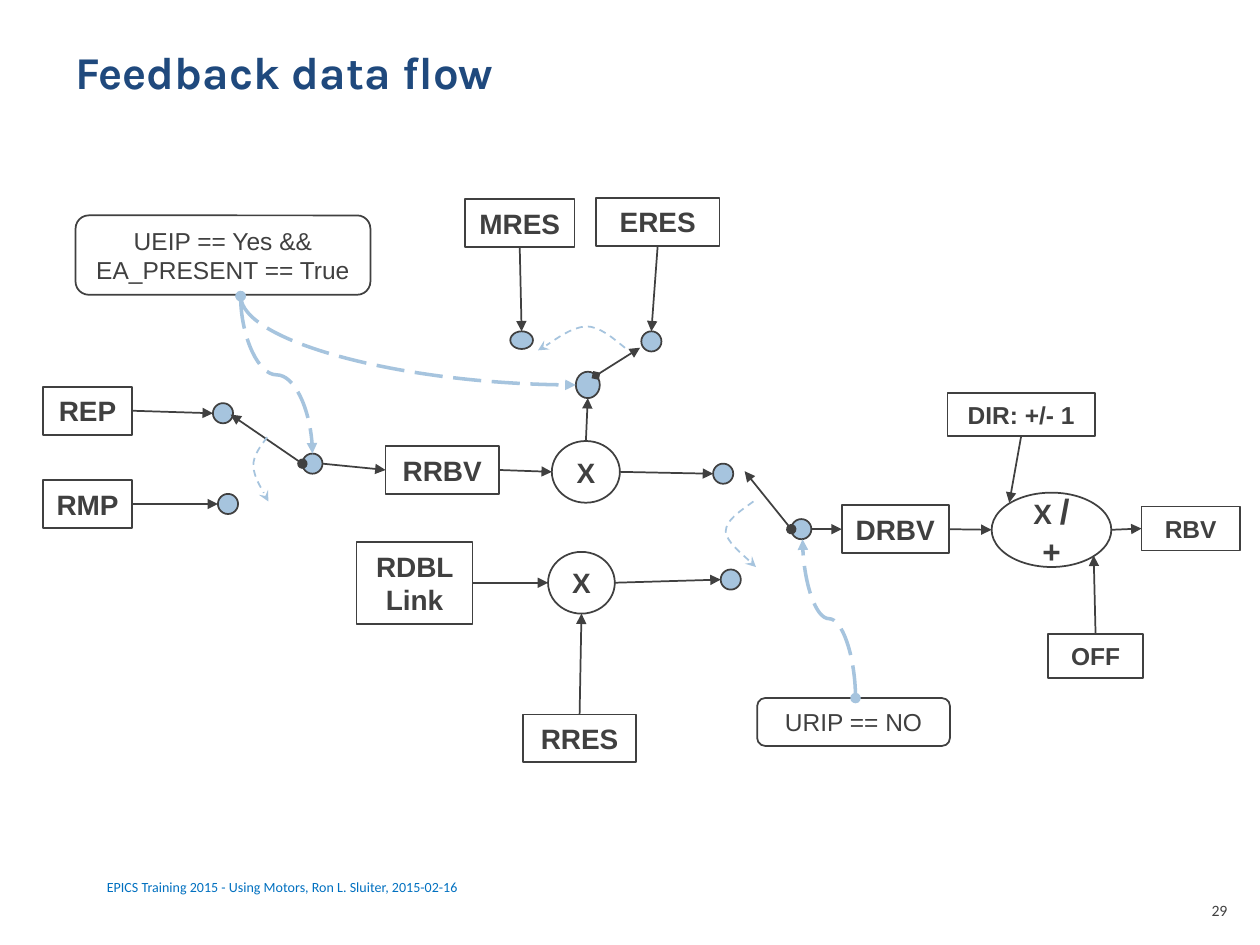
from lxml.etree import SubElement
from pptx import Presentation
from pptx.dml.color import RGBColor
from pptx.enum.dml import MSO_LINE as Dash
from pptx.enum.shapes import MSO_CONNECTOR as Conn, MSO_SHAPE as Shape
from pptx.enum.text import MSO_ANCHOR as Anchor, PP_ALIGN as Align
from pptx.oxml.ns import qn
from pptx.util import Inches, Pt

DARK = RGBColor(0x40, 0x40, 0x40)
PALE = RGBColor(0xA6, 0xC4, 0xDE)
NAVY = RGBColor(0x1F, 0x49, 0x7D)
BLUE = RGBColor(0x00, 0x70, 0xC0)
TOP, LEFT, BOTTOM, RIGHT = range(4)


def write(frame, runs, font, color, bold=False, align=Align.LEFT):
    """Add (text, size) runs to the first paragraph of a frame."""
    frame.word_wrap = True
    para = frame.paragraphs[0]
    para.alignment = align
    for text, size in runs:
        run = para.add_run()
        run.text = text
        run.font.name = font
        run.font.size = Pt(size)
        run.font.bold = bold
        run.font.color.rgb = color


def label(slide, area, text, size, font, color, bold=False, align=Align.LEFT):
    """Place a plain text box."""
    frame = slide.shapes.add_textbox(*map(Inches, area)).text_frame
    write(frame, [(text, size)], font, color, bold, align)


def node(slide, kind, area, runs=(), bold=True):
    """Place an outlined shape with centred text."""
    shape = slide.shapes.add_shape(kind, *map(Inches, area))
    shape.shadow.inherit = False
    shape.fill.background()
    shape.line.color.rgb = DARK
    shape.line.width = Pt(1)
    shape.text_frame.vertical_anchor = Anchor.MIDDLE
    write(shape.text_frame, runs, "Arial", DARK, bold, Align.CENTER)
    return shape


def block(slide, x, y, wide, high, text, size=16):
    """Place a record field."""
    return node(slide, Shape.RECTANGLE, (x, y, wide, high), [(text, size)])


def ring(slide, x, y, wide, high, *runs):
    """Place an operator."""
    return node(slide, Shape.OVAL, (x, y, wide, high), runs)


def note(slide, x, y, wide, high, text):
    """Place a rounded condition box."""
    return node(slide, Shape.ROUNDED_RECTANGLE, (x, y, wide, high), [(text, 14)], False)


def dot(slide, x, y, wide=0.16, high=0.16):
    """Place a switch contact."""
    shape = node(slide, Shape.OVAL, (x, y, wide, high))
    shape.fill.solid()
    shape.fill.fore_color.rgb = PALE
    return shape


def stroke(shape, color, width, dash=None, head=None, tail=None):
    """Set the line, its dash and its end marks."""
    shape.line.color.rgb = color
    shape.line.width = Pt(width)
    if dash:
        shape.line.dash_style = dash
    line = shape.element.spPr.find(qn("a:ln"))
    for tag, mark in (("a:headEnd", head), ("a:tailEnd", tail)):
        if mark:
            SubElement(line, qn(tag)).set("type", mark)


def wire(slide, kind, start, end):
    """Add a connector without a shadow."""
    conn = slide.shapes.add_connector(kind, *map(Inches, (*start, *end)))
    return conn


def spot(end):
    """Turn a (shape, side) pair or a point into a point."""
    shape, side = end
    if isinstance(shape, (int, float)):
        return end
    dx, dy = ((0.5, 0), (0, 0.5), (0.5, 1), (1, 0.5))[side]
    return ((shape.left + dx * shape.width) / Inches(1),
            (shape.top + dy * shape.height) / Inches(1))


def arrow(slide, start, end, head=None):
    """Draw a straight arrow, joined to any rectangle it meets."""
    conn = wire(slide, Conn.STRAIGHT, spot(start), spot(end))
    for (shape, side), join in ((start, conn.begin_connect), (end, conn.end_connect)):
        if getattr(shape, "auto_shape_type", None) == Shape.RECTANGLE:
            join(shape, side)
    stroke(conn, DARK, 1, head=head, tail="triangle")
    SubElement(conn.element.spPr, qn("a:effectLst"))


def curve(slide, start, end, turn, kind="curvedConnector3"):
    """Draw a dashed control curve that leaves its start vertically."""
    (ax, ay), (bx, by) = start, end
    mx, my = (ax + bx) / 2, (ay + by) / 2
    dx, dy = abs(by - ay) / 2, abs(bx - ax) / 2
    conn = wire(slide, Conn.CURVE, (mx + dx, my - dy), (mx - dx, my + dy))
    props = conn.element.spPr
    props.find(qn("a:xfrm")).set("rot", str(turn * 60000))
    props.find(qn("a:prstGeom")).set("prst", kind)
    stroke(conn, PALE, 2, Dash.LONG_DASH, "oval", "triangle")
    SubElement(props, qn("a:effectLst"))


def swing(slide, x, y, points):
    """Draw the dashed throw of a switch through Bezier points."""
    spots = [(Inches(x + px), Inches(y + py)) for px, py in points]
    pen = slide.shapes.build_freeform(*spots[0])
    pen.add_line_segments(spots[1:], close=False)
    shape = pen.convert_to_shape()
    shape.shadow.inherit = False
    shape.fill.background()
    legs = list(shape.element.iter(qn("a:lnTo")))
    for i in range(0, len(legs), 3):
        bend = SubElement(legs[i].getparent(), qn("a:cubicBezTo"))
        for leg in legs[i:i + 3]:
            bend.append(leg[0])
            leg.getparent().remove(leg)
    stroke(shape, PALE, 1, Dash.DASH, tail="stealth")


def source(slide, x, y):
    """Place the raw position switch; return its pivot and RRBV."""
    rep = block(slide, x, y, 0.71, 0.38, "REP")
    rmp = block(slide, x, y + 0.74, 0.71, 0.38, "RMP")
    arrow(slide, (rep, RIGHT), (dot(slide, x + 1.35, y + 0.13), LEFT))
    arrow(slide, (rmp, RIGHT), (dot(slide, x + 1.39, y + 0.85), LEFT))
    pivot = dot(slide, x + 2.06, y + 0.53)
    rrbv = block(slide, x + 2.72, y + 0.47, 0.9, 0.38, "RRBV")
    arrow(slide, (pivot, LEFT), (x + 1.49, y + 0.22), "oval")
    arrow(slide, (pivot, RIGHT), (rrbv, LEFT))
    swing(slide, x, y, [(1.78, 0.4), (1.73, 0.47), (1.67, 0.54), (1.67, 0.63),
                        (1.68, 0.72), (1.77, 0.87), (1.79, 0.91)])
    return pivot, rrbv


def scale(slide, x, y):
    """Place the resolution switch; return its pivot and multiplier."""
    mres = block(slide, x, y + 0.01, 0.87, 0.38, "MRES")
    eres = block(slide, x + 1.04, y, 0.98, 0.38, "ERES")
    arrow(slide, (mres, BOTTOM), (dot(slide, x + 0.36, y + 1.06, 0.18, 0.14), TOP))
    arrow(slide, (eres, BOTTOM), (dot(slide, x + 1.4, y + 1.06), TOP))
    pivot = dot(slide, x + 0.88, y + 1.38, 0.19, 0.21)
    times = ring(slide, x + 0.69, y + 1.93, 0.54, 0.49, ("X", 16))
    arrow(slide, (times, TOP), (pivot, BOTTOM))
    arrow(slide, (x + 1.04, y + 1.41), (x + 1.39, y + 1.19), "diamond")
    swing(slide, x, y, [(1.27, 1.19), (1.17, 1.11), (1.07, 1.02), (0.96, 1.02),
                        (0.84, 1.03), (0.64, 1.18), (0.58, 1.21)])
    return pivot, times


def readback(slide, x, y):
    """Place the readback link; return its multiplier."""
    rdbl = block(slide, x, y, 0.92, 0.65, "RDBL Link")
    times = ring(slide, x + 1.52, y + 0.08, 0.53, 0.49, ("X", 16))
    rres = block(slide, x + 1.32, y + 1.37, 0.9, 0.38, "RRES")
    arrow(slide, (rdbl, RIGHT), (times, LEFT))
    arrow(slide, (rres, TOP), (times, BOTTOM))
    return times


def choose(slide, x, y):
    """Place the dial value switch; return its two contacts and DRBV."""
    high, low = dot(slide, x, y), dot(slide, x + 0.06, y + 0.84)
    pivot = dot(slide, x + 0.62, y + 0.44)
    drbv = block(slide, x + 1.02, y + 0.33, 0.85, 0.38, "DRBV")
    arrow(slide, (pivot, LEFT), (x + 0.25, y + 0.06), "oval")
    arrow(slide, (pivot, RIGHT), (drbv, LEFT))
    swing(slide, x, y, [(0.32, 0.3), (0.21, 0.38), (0.1, 0.45), (0.1, 0.54),
                        (0.11, 0.62), (0.3, 0.78), (0.34, 0.82)])
    note(slide, x + 0.35, y + 1.86, 1.53, 0.38, "URIP == NO")
    curve(slide, (x + 1.13, y + 1.86), (x + 0.71, y + 0.6), 90)
    return high, low, drbv


def output(slide, x, y):
    """Place the user value stage; return its operator."""
    sign = block(slide, x, y, 1.17, 0.34, "DIR: +/- 1", 14)
    calc = ring(slide, x + 0.35, y + 0.79, 0.95, 0.59, ("X ", 16), ("/ ", 20), ("+", 18))
    rbv = block(slide, x + 1.54, y + 0.9, 0.78, 0.35, "RBV", 14)
    off = block(slide, x + 0.8, y + 1.91, 0.75, 0.35, "OFF", 14)
    arrow(slide, (sign, BOTTOM), (x + 0.49, y + 0.87))
    arrow(slide, (off, TOP), (x + 1.16, y + 1.29))
    arrow(slide, (calc, RIGHT), (rbv, LEFT))
    return calc


def main():
    """Build and save the slide."""
    deck = Presentation()
    deck.slide_width, deck.slide_height = Inches(10), Inches(7.5)
    slide = deck.slides.add_slide(deck.slide_layouts[6])
    label(slide, (0.5, 0.3, 9, 1.25), "Feedback data flow", 26, "Karla", NAVY, True)
    label(slide, (0.75, 6.92, 7.5, 0.24),
          "EPICS Training 2015 - Using Motors, Ron L. Sluiter, 2015-02-16", 8, "Calibri", BLUE)
    label(slide, (9.42, 7.1, 0.42, 0.4), "29", 9, "Calibri", DARK, align=Align.RIGHT)
    raw, rrbv = source(slide, 0.34, 3.07)
    unit, times = scale(slide, 3.69, 1.57)
    link = readback(slide, 2.83, 4.3)
    high, low, drbv = choose(slide, 5.66, 3.68)
    calc = output(slide, 7.52, 3.12)
    for start, end in ((rrbv, times), (times, high), (link, low), (drbv, calc)):
        arrow(slide, (start, RIGHT), (end, LEFT))
    note(slide, 0.6, 1.71, 2.34, 0.63, "UEIP == Yes && EA_PRESENT == True")
    curve(slide, (1.91, 2.35), spot((raw, TOP)), 270)
    curve(slide, (1.91, 2.35), spot((unit, LEFT)), 270, "curvedConnector2")
    deck.save("out.pptx")


if __name__ == "__main__":
    main()
